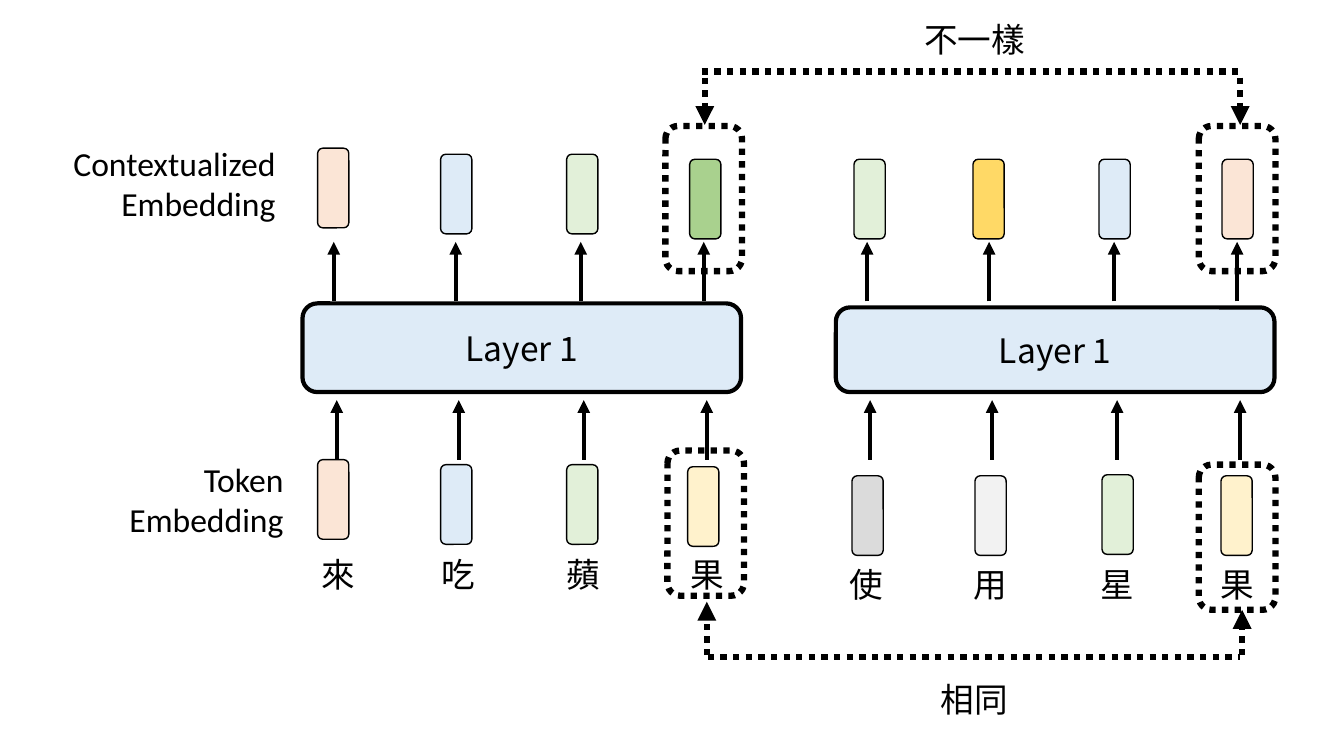
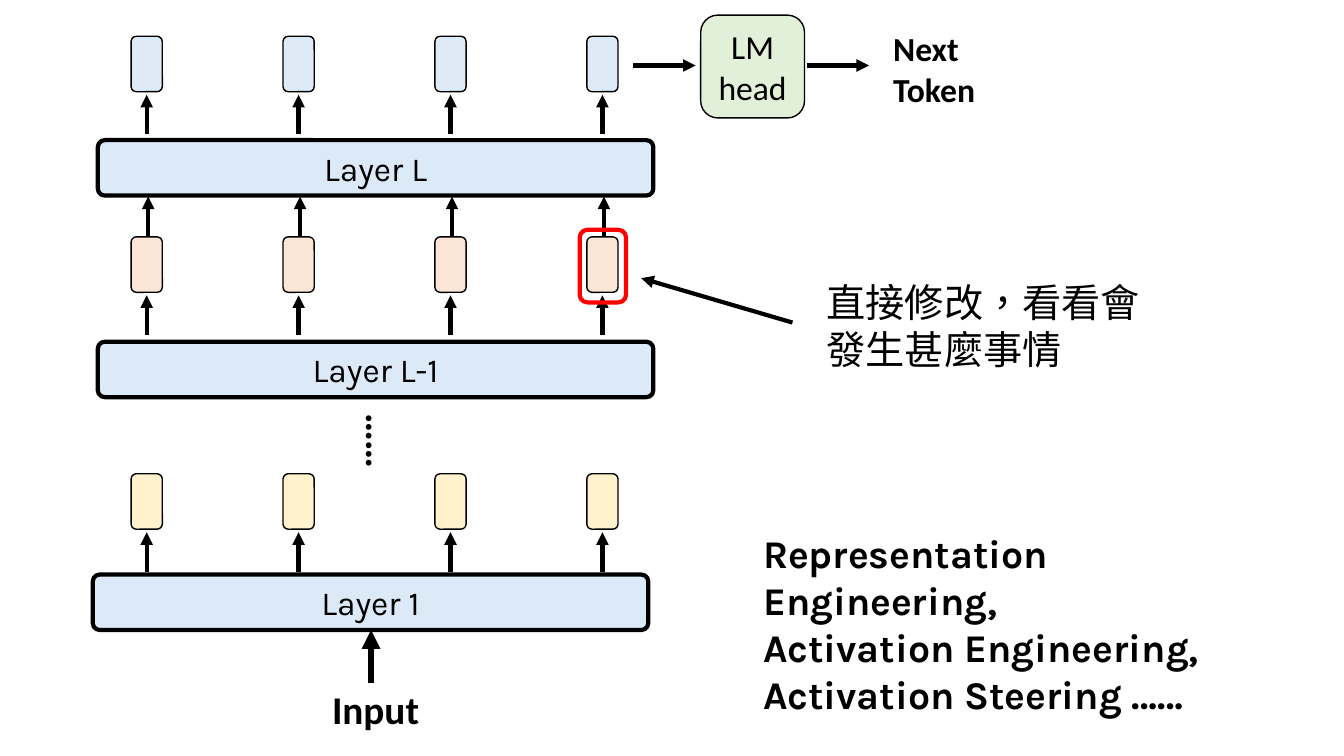
from lxml import etree
from pptx import Presentation
from pptx.dml.color import RGBColor
from pptx.enum import dml, lang, shapes, text
from pptx.oxml.ns import qn
from pptx.util import Inches, Pt

BLACK = RGBColor(0x00, 0x00, 0x00)
RED = RGBColor(0xFF, 0x00, 0x00)
PEACH = RGBColor(0xFB, 0xE5, 0xD6)
BLUE = RGBColor(0xDE, 0xEB, 0xF7)
LAYER_BLUE = RGBColor(0xDC, 0xEA, 0xF7)
MINT = RGBColor(0xE2, 0xF0, 0xD9)
GREEN = RGBColor(0xA9, 0xD1, 0x8E)
CREAM = RGBColor(0xFF, 0xF2, 0xCC)
GOLD = RGBColor(0xFF, 0xD9, 0x66)
GRAY = RGBColor(0xDB, 0xDB, 0xDB)
LIGHT_GRAY = RGBColor(0xF2, 0xF2, 0xF2)

LATIN, KARLA, CJK = "Calibri", "Karla", "Noto Sans CJK SC"
LEFT, CENTER, RIGHT = text.PP_ALIGN.LEFT, text.PP_ALIGN.CENTER, text.PP_ALIGN.RIGHT
DOTTED = dml.MSO_LINE.ROUND_DOT  # stored as sysDot
BOX_W = 0.31


# Shared elements
def write(tf, lines, font, size=24, align=CENTER, bold=False):
    tf.word_wrap = True
    for i, line in enumerate(lines.split("\n")):
        p = tf.paragraphs[0] if i == 0 else tf.add_paragraph()
        p.text = line
        p.alignment = align
        f = p.font
        f.size, f.bold, f.name = Pt(size), bold, font
        f.color.rgb = BLACK
        if font == CJK:
            f.language_id = lang.MSO_LANGUAGE_ID.TRADITIONAL_CHINESE
            def_rpr = p._p.pPr.find(qn("a:defRPr"))
            etree.SubElement(def_rpr, qn("a:ea")).set("typeface", font)


def add_label(s, x, y, w, h, lines, font, **style):
    tb = s.shapes.add_textbox(Inches(x), Inches(y), Inches(w), Inches(h))
    write(tb.text_frame, lines, font, **style)
    return tb


def add_box(s, x, y, w, h, fill=None, line=BLACK, width=1, dash=None):
    sp = s.shapes.add_shape(shapes.MSO_SHAPE.ROUNDED_RECTANGLE,
                            Inches(x), Inches(y), Inches(w), Inches(h))
    sp.shadow.inherit = False
    if fill is None:
        sp.fill.background()
    else:
        sp.fill.solid()
        sp.fill.fore_color.rgb = fill
    sp.line.color.rgb = line
    sp.line.width = Pt(width)
    if dash:
        sp.line.dash_style = dash
    return sp


def add_text_box(s, x, y, w, h, fill, lines, font, width=1):
    sp = add_box(s, x, y, w, h, fill, width=width)
    sp.text_frame.vertical_anchor = text.MSO_ANCHOR.MIDDLE
    write(sp.text_frame, lines, font)
    return sp


def add_line(s, x1, y1, x2, y2, width=3, dash=None, arrow=True):
    c = s.shapes.add_connector(shapes.MSO_CONNECTOR.STRAIGHT,
                               Inches(x1), Inches(y1), Inches(x2), Inches(y2))
    c.line.color.rgb = BLACK
    c.line.width = Pt(width)
    if dash:
        c.line.dash_style = dash
    if arrow:
        etree.SubElement(c.line._get_or_add_ln(), qn("a:tailEnd")).set("type", "triangle")
    etree.SubElement(c._element.spPr, qn("a:effectLst"))


# Slide 1: the same token in two sentences
def add_sentence(s, arrow_x, layer, word_y, tokens):
    add_text_box(s, *layer, BLUE, "Layer 1", CJK, width=3)
    for dx, (word, word_x, token, context) in zip((0, 1.21, 2.45, 3.67), tokens):
        x = arrow_x + dx
        add_line(s, x, 4.56, x, 3.97)
        add_line(s, x - 0.03, 2.99, x - 0.03, 2.4)
        for box_x, box_y, fill in (token, context):
            add_box(s, box_x, box_y, BOX_W, 0.79, fill)
        add_label(s, word_x, word_y, 0.78, 0.5, word, CJK)


def add_bracket(s, bar_y, x1, x2, start_y, tips):
    """Dotted bar with an arrow at each (x, tip y)."""
    add_line(s, x1, bar_y, x2, bar_y, 4.5, DOTTED, arrow=False)
    for x, tip_y in tips:
        add_line(s, x, start_y, x, tip_y, 4.5, DOTTED)


def build_contextual_slide(s):
    add_sentence(s, 3.34, (3, 3.01, 4.35, 0.88), 5.45, [
        ("來", 2.97, (3.15, 4.56, PEACH), (3.15, 1.47, PEACH)),
        ("吃", 4.16, (4.37, 4.61, BLUE), (4.37, 1.53, BLUE)),
        ("蘋", 5.4, (5.62, 4.61, MINT), (5.62, 1.53, MINT)),
        ("果", 6.63, (6.82, 4.63, CREAM), (6.84, 1.58, GREEN)),
    ])
    add_sentence(s, 8.63, (8.29, 3.05, 4.35, 0.84), 5.55, [
        ("使", 8.2, (8.45, 4.72, GRAY), (8.47, 1.58, MINT)),
        ("用", 9.43, (9.67, 4.72, LIGHT_GRAY), (9.65, 1.58, GOLD)),
        ("星", 10.69, (10.93, 4.71, MINT), (10.9, 1.58, BLUE)),
        ("果", 11.88, (12.11, 4.72, CREAM), (12.12, 1.58, PEACH)),
    ])

    # Compared embeddings
    for x, y in ((11.89, 4.61), (6.62, 4.47), (11.89, 1.25), (6.6, 1.25)):
        add_box(s, x, y, 0.76, 1.44, width=4.5, dash=DOTTED)
    add_bracket(s, 6.52, 7.02, 12.3, 6.5, [(7.01, 5.97), (12.32, 6.05)])
    add_bracket(s, 0.71, 6.96, 12.3, 0.77, [(6.99, 1.24), (12.3, 1.24)])
    add_label(s, 8.98, 6.69, 1.37, 0.5, "相同", CJK)
    add_label(s, 8.98, 0.14, 1.37, 0.5, "不一樣", CJK)

    # Row names
    add_label(s, 0.96, 4.5, 1.95, 0.91, "Token Embedding", LATIN, align=RIGHT)
    add_label(s, 0.19, 1.37, 2.64, 0.91, "Contextualized Embedding", LATIN, align=RIGHT)


# Slide 2: editing a hidden representation
def add_layer(s, name, x, y, outputs_y, fill):
    add_text_box(s, x, y, 5.51, 0.55, LAYER_BLUE, name, KARLA, width=3).adjustments[0] = 0.125
    for box_x in column_lefts():
        x = box_x + BOX_W / 2
        add_line(s, x, outputs_y + 0.97, x, outputs_y + 0.58)
        add_box(s, box_x, outputs_y, BOX_W, 0.55, fill)


def column_lefts(first=1.3, last=5.82, count=4):
    return [first + i * (last - first) / (count - 1) for i in range(count)]


def build_steering_slide(s):
    # Layer stack
    add_layer(s, "Layer L", 0.97, 1.39, 0.36, BLUE)
    add_layer(s, "Layer L-1", 0.97, 3.39, 2.35, PEACH)
    add_layer(s, "Layer 1", 0.92, 5.7, 4.7, CREAM)
    for box_x in column_lefts():
        add_line(s, box_x + 0.17, 2.34, box_x + 0.17, 1.95)
    add_label(s, 3.34, 4.09, 0.89, 0.57, "……", LATIN, size=28, bold=True).rotation = 90
    add_label(s, 1.38, 6.75, 4.69, 0.57, "Input", LATIN, size=28, bold=True)
    add_line(s, 3.68, 6.78, 3.68, 6.25, 4.5)

    # Output head
    add_text_box(s, 6.95, 0.15, 1.03, 1.02, MINT, "LM\nhead", LATIN)
    for x in (6.28, 8):
        add_line(s, x, 0.65, x + 0.62, 0.65)
    add_label(s, 8.76, 0.23, 1.11, 0.91, "Next Token", LATIN, align=LEFT, bold=True)

    # Edited representation
    add_box(s, 5.75, 2.28, 0.46, 0.72, line=RED, width=3)
    add_line(s, 7.86, 3.2, 6.36, 2.76)
    add_label(s, 8.1, 2.71, 3.56, 1.04, "直接修改，看看會發生甚麼事情", CJK, size=28, align=LEFT)
    add_label(s, 7.47, 5.2, 5.3, 1.51,
              "Representation Engineering,\nActivation Engineering,\nActivation Steering ……",
              KARLA, size=28, align=LEFT, bold=True)


def main():
    prs = Presentation()
    prs.slide_width, prs.slide_height = Inches(13.33), Inches(7.5)
    blank = prs.slide_layouts[6]
    for build in (build_contextual_slide, build_steering_slide):
        build(prs.slides.add_slide(blank))
    prs.save("out.pptx")


if __name__ == "__main__":
    main()
